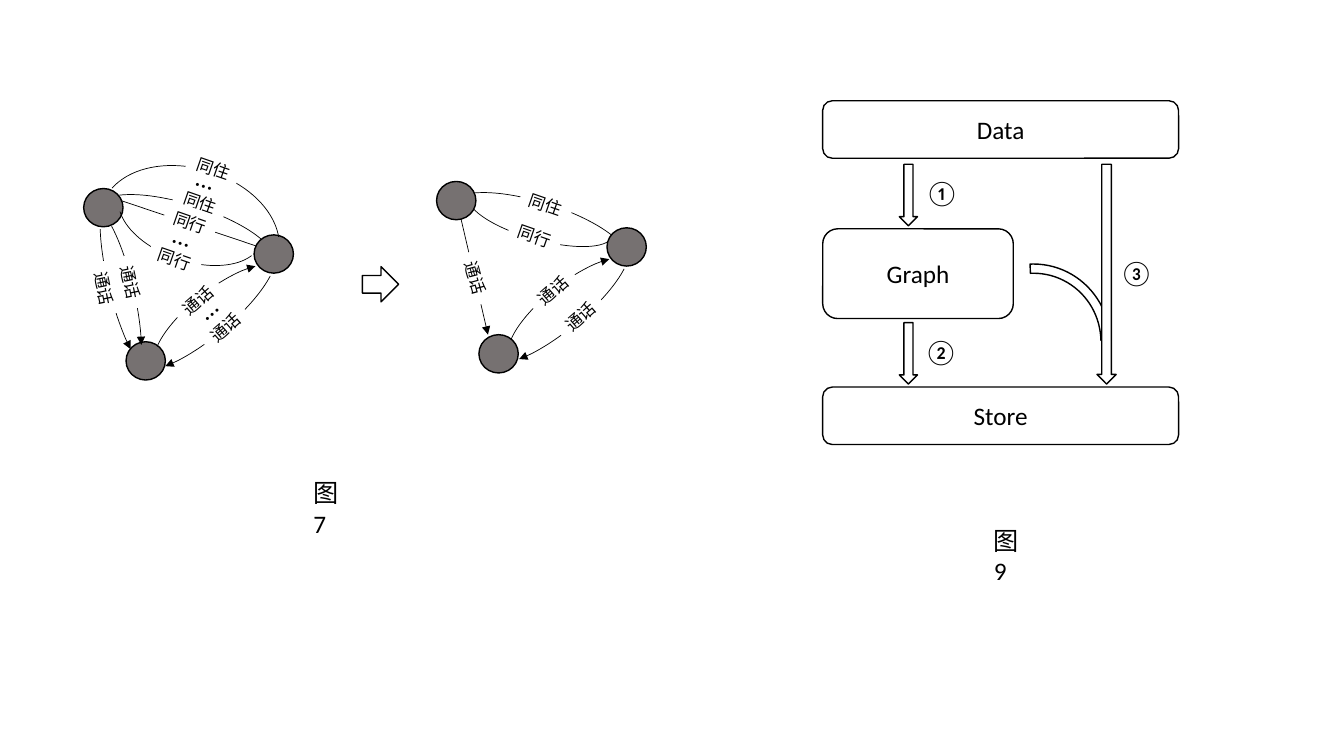
import pptx
import pptx.dml.color
import pptx.enum.shapes
import pptx.enum.text
import pptx.oxml.ns
import pptx.util
from lxml import etree

Inches = pptx.util.Inches
SHAPE = pptx.enum.shapes.MSO_SHAPE
COLOURS = {"ink": "000000", "node": "767171", "paper": "FFFFFF"}
NODE_OFFSETS = [(0, 0), (1.69, 0.46), (0.42, 1.52)]


def add_xml(parent, tag, **attributes):
    """Append a DrawingML element to a parent."""
    etree.SubElement(parent, pptx.oxml.ns.qn(tag), attributes)


class Diagram:
    """Holds the style and the current slide."""

    font = "Calibri"

    def __init__(self, page):
        """Draw on the given slide."""
        self.page = page

    def colour(self, name):
        """Return a named colour."""
        return pptx.dml.color.RGBColor.from_string(COLOURS[name])

    def outline(self, line, width, arrow=None):
        """Set a black line, with an optional arrowhead at one end."""
        line.color.rgb = self.colour("ink")
        line.width = pptx.util.Pt(width)
        if arrow:
            add_xml(line._get_or_add_ln(), f"a:{arrow}End", type="triangle")

    def shape(self, kind, at, fill=None, width=1, turn=0, adjust=(), arrow=None):
        """Add a preset shape; a width of 0 means no outline."""
        shape = self.page.shapes.add_shape(kind, *map(Inches, at))
        shape.shadow.inherit = False
        shape.rotation = turn
        for index, value in enumerate(adjust):
            shape.adjustments[index] = value
        if fill:
            shape.fill.solid()
            shape.fill.fore_color.rgb = self.colour(fill)
        else:
            shape.fill.background()
        if width:
            self.outline(shape.line, width, arrow)
        else:
            shape.line.fill.background()
        return shape

    def set_text(self, box, text, size, align="LEFT", anchor="TOP", wrap=False):
        """Put one paragraph into a shape."""
        frame = box.text_frame
        frame.word_wrap = wrap
        frame.vertical_anchor = getattr(pptx.enum.text.MSO_ANCHOR, anchor)
        para = frame.paragraphs[0]
        para.text = text
        para.alignment = getattr(pptx.enum.text.PP_ALIGN, align)
        para.font.name = self.font
        para.font.size = pptx.util.Pt(size)
        para.font.color.rgb = self.colour("ink")

    def text(self, text, left, top, width, turn=0, wrap=False):
        """Add a text box of one line's height."""
        box = self.page.shapes.add_textbox(*map(Inches, (left, top, width, 0.4)))
        box.rotation = turn
        self.set_text(box, text, 18, wrap=wrap)

    def block(self, text, left, top, width, height):
        """Add a rounded box with a centred name."""
        box = self.shape(SHAPE.ROUNDED_RECTANGLE, (left, top, width, height))
        self.set_text(box, text, 18, "CENTER", "MIDDLE", True)

    def nodes(self, left, top):
        """Add the three nodes of a graph from its first node's corner."""
        for across, down in NODE_OFFSETS:
            self.shape(SHAPE.OVAL, (left + across, top + down, 0.39, 0.38), "node")

    def arc(self, at, turn, arrow=None, start=115.35, end=208.13):
        """Add a curved edge."""
        self.shape(SHAPE.ARC, at, None, 0.5, turn, (start, end), arrow)

    def edge(self, start, end, arrow=None):
        """Add a straight edge."""
        straight = pptx.enum.shapes.MSO_CONNECTOR.STRAIGHT
        line = self.page.shapes.add_connector(straight, *map(Inches, start + end))
        self.outline(line.line, 0.5, arrow)
        add_xml(line._element.spPr, "a:effectLst")

    def label(self, text, left, top, turn):
        """Add a white label that interrupts an edge."""
        box = self.shape(SHAPE.RECTANGLE, (left, top, 0.53, 0.3), "paper", 0, turn)
        self.set_text(box, text, 12)


deck = pptx.Presentation()
deck.slide_width, deck.slide_height = Inches(13.33), Inches(7.5)
diagram = Diagram(deck.slides.add_slide(deck.slide_layouts[6]))

# Graph with repeated edges
diagram.nodes(0.83, 1.87)
for at, turn, arrow in [
    ((0.26, 2.69, 1.72, 0.41), 76.6, "tail"),
    ((1.16, 2.81, 1.75, 0.53), 140.1, "tail"),
    ((1.39, 2.88, 1.53, 0.53), 321.6, "tail"),
    ((0.40, 2.60, 1.76, 0.41), 256.4, "head"),
]:
    diagram.arc(at, turn, arrow, end=207.18)
for at, turn in [
    ((0.94, 2.03, 1.81, 0.57), 17.5),
    ((1.15, 1.75, 1.48, 0.84), 198.9),
    ((0.98, 1.67, 1.81, 1.25), 16.7),
]:
    diagram.arc(at, turn)
diagram.edge((1.2, 1.99), (2.54, 2.44))

# Graph with merged edges
for at, turn in [((4.67, 2.74, 1.75, 0.53), 140.1), ((4.9, 2.81, 1.53, 0.53), 321.6)]:
    diagram.arc(at, turn, "tail", end=207.18)
diagram.arc((4.44, 2.01, 1.81, 0.57), 17.5)
diagram.arc((4.62, 1.91, 1.48, 0.47), 195.5, start=111.47, end=210.27)
diagram.edge((4.53, 1.99), (4.84, 3.32), "tail")
diagram.nodes(4.33, 1.8)

# Edge labels, grouped by wording and slope
for text, turn, places in [
    ("同住", 19.2, [(1.72, 1.86), (1.85, 1.52), (5.15, 1.88)]),
    ("同行", 19.2, [(1.62, 2.06), (1.47, 2.42), (5.04, 2.19)]),
    ("通话", 78.2, [(0.77, 2.71), (1.03, 2.65)]),
    ("通话", 74.5, [(4.45, 2.61)]),
    ("通话", 318.7, [(1.7, 2.83), (1.97, 3.1), (5.22, 2.73), (5.49, 2.99)]),
]:
    for left, top in places:
        diagram.label(text, left, top, turn)
for left, top, turn in [(1.63, 2.14, 17.7), (1.86, 1.58, 17.6), (1.86, 2.85, 319)]:
    diagram.text("…", left, top, 0.4, turn)
diagram.shape(SHAPE.DOWN_ARROW, (3.6, 2.64, 0.35, 0.36), turn=270)

# Storage layers and the flows between them
diagram.block("Data", 8.16, 1, 3.53, 0.57)
diagram.block("Graph", 8.16, 2.27, 1.89, 0.89)
diagram.block("Store", 8.16, 3.84, 3.53, 0.57)
for top in (1.63, 3.2):
    diagram.shape(SHAPE.DOWN_ARROW, (8.92, top, 0.18, 0.61))
diagram.shape(SHAPE.BLOCK_ARC, (9.49, 2.62, 1.52, 1.54), "paper",
              adjust=(160.47, 215.33, 0.06))
diagram.shape(SHAPE.DOWN_ARROW, (10.88, 1.63, 0.19, 2.18), "paper")
for number, left, top in [("①", 9.08, 1.71), ("②", 9.07, 3.29), ("③", 11.01, 2.5)]:
    diagram.text(number, left, top, 0.45)

# Figure captions
for caption, left, top in [("图7", 3.01, 4.69), ("图9", 9.76, 5.16)]:
    diagram.text(caption, left, top, 0.56, wrap=True)

deck.save("out.pptx")
